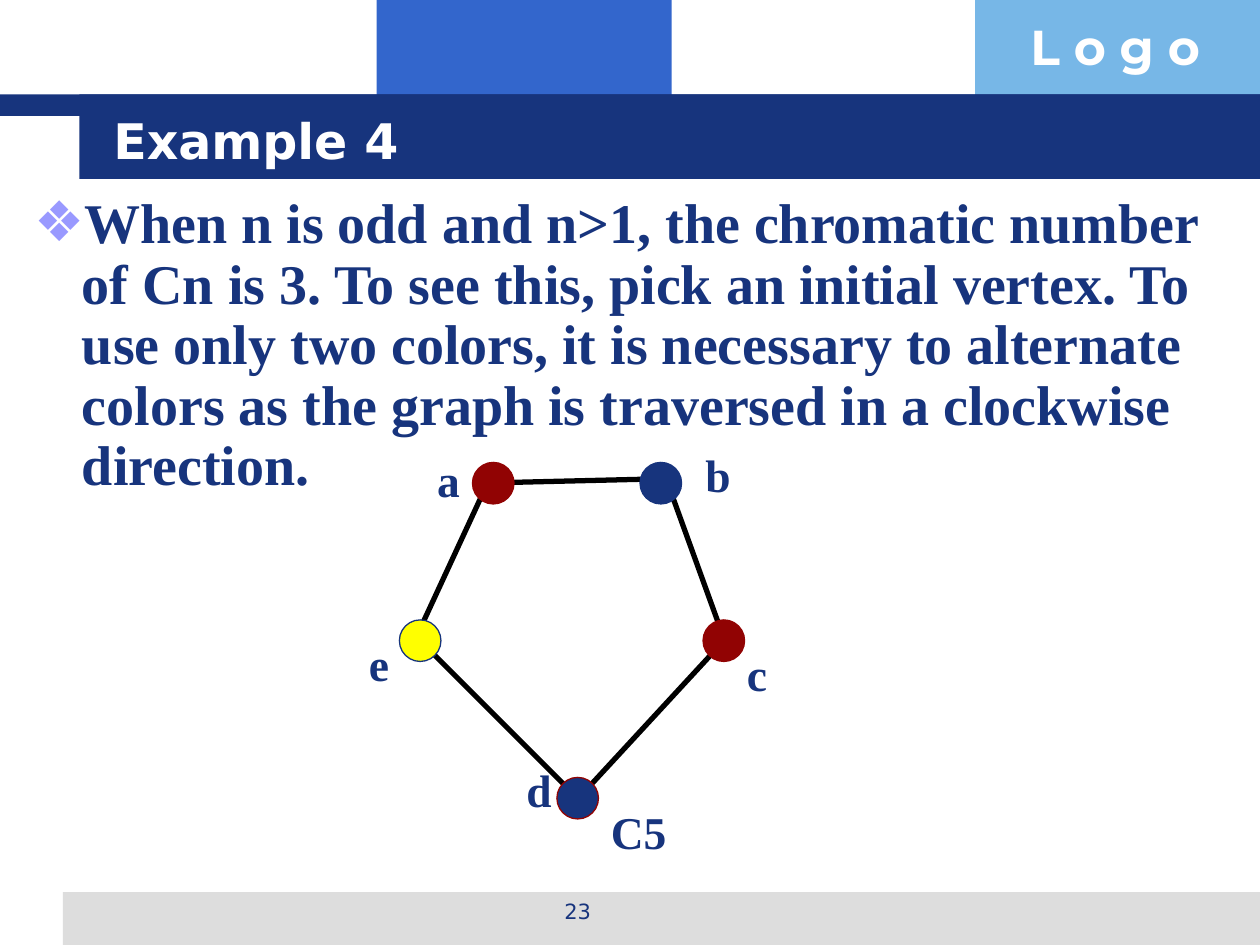
"""Build a slide on the chromatic number of odd cycles, with a coloured C5 graph."""
from lxml.etree import SubElement
from pptx import Presentation
from pptx.dml.color import RGBColor
from pptx.enum.shapes import MSO_CONNECTOR as CONNECTOR, MSO_SHAPE as SHAPE
from pptx.enum.text import MSO_ANCHOR as ANCHOR, MSO_AUTO_SIZE as AUTO_SIZE, PP_ALIGN as ALIGN
from pptx.oxml.ns import qn
from pptx.util import Inches, Pt

COLORS = {
    "navy": "17347D", "blue": "3366CC", "sky": "77B7E7", "grey": "DDDDDD", "white": "FFFFFF",
    "lilac": "9999FF", "red": "910303", "yellow": "FFFF00", "black": "000000",
}
SERIF, SANS = "Times New Roman", "DejaVu Sans"


def rgb(name):
    return RGBColor.from_string(COLORS[name])


def write(shape, text, font, size, color, bold=True, align=ALIGN.LEFT):
    shape.text_frame.text = text
    paragraph = shape.text_frame.paragraphs[0]
    paragraph.alignment = align
    run_font = paragraph.runs[0].font
    run_font.name, run_font.size, run_font.bold = font, Pt(size), bold
    run_font.color.rgb = rgb(color)
    return paragraph


presentation = Presentation()
presentation.slide_width, presentation.slide_height = Inches(10), Inches(7.5)
slide = presentation.slides.add_slide(presentation.slide_layouts[1])
shapes = slide.shapes

bands = [
    (2.99, 0, 2.34, 0.92, "blue"),
    (7.74, 0, 2.26, 0.92, "sky"),
    (0.5, 7.08, 9.5, 0.42, "grey"),
    (0, 0.75, 10, 0.17, "navy"),
    (0.63, 0.75, 9.37, 0.67, "navy"),
]
for left, top, width, height, color in bands:
    band = shapes.add_shape(SHAPE.RECTANGLE, Inches(left), Inches(top), Inches(width), Inches(height))
    band.shadow.inherit = False
    band.fill.solid()
    band.fill.fore_color.rgb = rgb(color)
    band.line.fill.background()

logo = shapes.add_textbox(Inches(8.08), Inches(0.08), Inches(1.92), Inches(0.57))
logo.text_frame.word_wrap = True
write(logo, "L o g o", "Montserrat", 28, "white")

title, body = shapes.title, slide.placeholders[1]
for placeholder, left, top, width, height in [(title, 0.8, 0.8, 8.53, 0.62), (body, 0.17, 1.5, 9.67, 2.5)]:
    placeholder.left, placeholder.top = Inches(left), Inches(top)
    placeholder.width, placeholder.height = Inches(width), Inches(height)
    placeholder.text_frame.auto_size = AUTO_SIZE.NONE
    shapes._spTree.append(placeholder._element)

write(title, "Example 4", SANS, 28, "white")
title.text_frame.vertical_anchor = ANCHOR.MIDDLE

statement = write(
    body,
    "When n is odd and n>1, the chromatic number of Cn is 3. To see this, pick an initial vertex. "
    "To use only two colors, it is necessary to alternate colors as the graph is traversed "
    "in a clockwise direction.",
    SERIF, 32, "navy",
)
statement.line_spacing = 0.9
statement.space_before = Pt(0)
properties = statement._p.get_or_add_pPr()
properties.set("marL", str(Inches(0.38)))
properties.set("indent", str(-Inches(0.38)))
bullet_color = SubElement(properties, qn("a:buClr"))
SubElement(bullet_color, qn("a:srgbClr"), val=COLORS["lilac"])
SubElement(properties, qn("a:buChar"), char="❖")

edges = [
    (3.33, 5, 3.83, 3.92),
    (3.42, 5.17, 4.5, 6.25),
    (5.33, 3.92, 5.75, 5.08),
    (4.67, 6.25, 5.75, 5.08),
    (4, 3.83, 5.25, 3.8),
]
for edge_points in edges:
    edge = shapes.add_connector(CONNECTOR.STRAIGHT, *map(Inches, edge_points))
    edge.line.color.rgb = rgb("black")
    edge.line.width = Pt(3)
    SubElement(edge._element.spPr, qn("a:effectLst"))

labels = [
    ("a", 3.37, 3.54, 0.38), ("b", 5.5, 3.5, 0.4), ("c", 5.83, 5.08, 0.36),
    ("d", 4.08, 6, 0.4), ("e", 2.83, 5, 0.36), ("C5", 4.75, 6.33, 0.64),
]
for text, left, top, width in labels:
    label = shapes.add_textbox(Inches(left), Inches(top), Inches(width), Inches(0.53))
    label.text_frame.word_wrap = False
    write(label, text, SERIF, 26, "navy")

vertices = [
    (4.42, 6.17, "navy", "red"),
    (5.08, 3.67, "navy", "navy"),
    (3.75, 3.67, "red", "red"),
    (3.17, 4.92, "yellow", "navy"),
    (5.58, 4.92, "red", "red"),
]
for left, top, fill, outline in vertices:
    vertex = shapes.add_shape(SHAPE.OVAL, Inches(left), Inches(top), Inches(0.33), Inches(0.33))
    vertex.shadow.inherit = False
    vertex.fill.solid()
    vertex.fill.fore_color.rgb = rgb(fill)
    vertex.line.color.rgb = rgb(outline)
    vertex.line.width = Pt(0.75)

page_number = shapes.add_textbox(Inches(3.42), Inches(7.08), Inches(2.33), Inches(0.35))
page_number.text_frame.word_wrap = True
write(page_number, "23", SANS, 12, "navy", bold=False, align=ALIGN.CENTER)

presentation.save("out.pptx")
